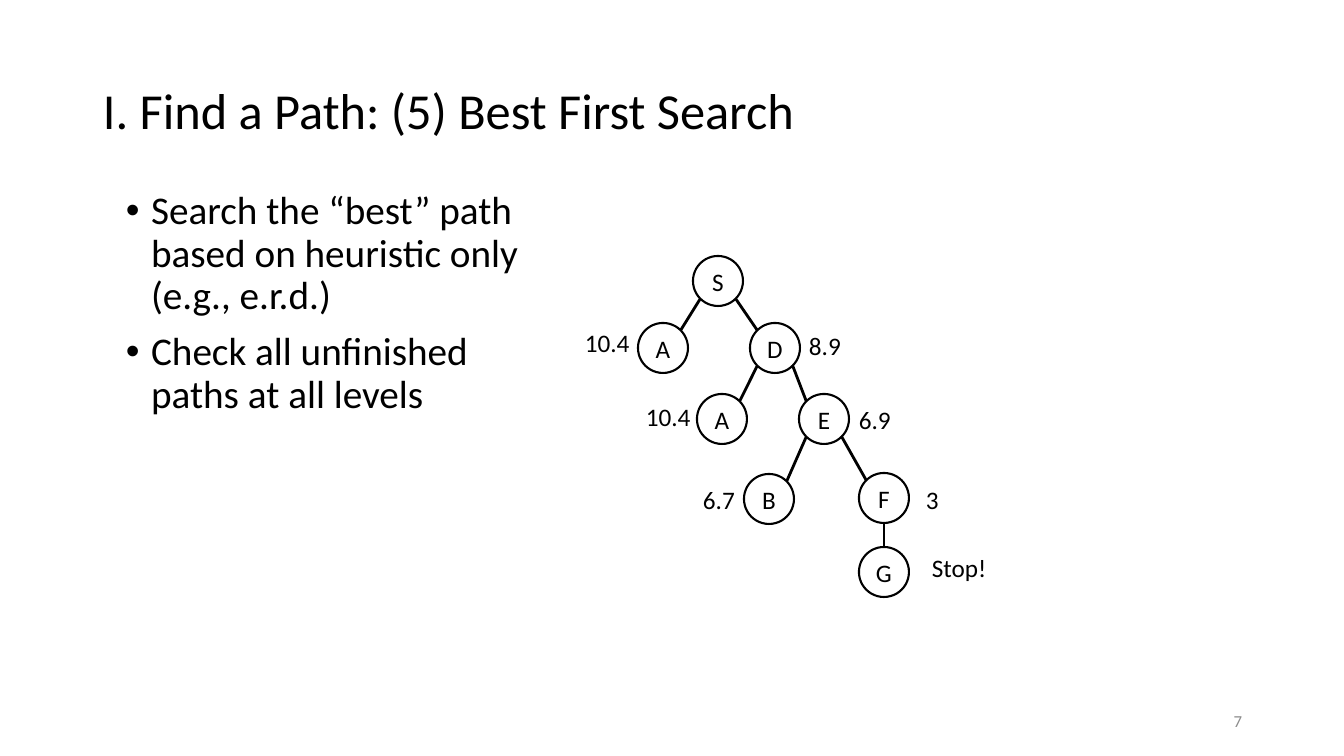
from dataclasses import dataclass
from math import sqrt

from lxml.etree import SubElement
from pptx import Presentation
from pptx.dml.color import RGBColor
from pptx.enum.shapes import MSO_CONNECTOR, MSO_SHAPE
from pptx.enum.text import MSO_ANCHOR, PP_ALIGN
from pptx.oxml.ns import qn
from pptx.slide import Slide
from pptx.text.text import TextFrame
from pptx.util import Emu, Pt

PIXEL = 914400 / 100.8
COLORS = {"ink": "000000", "muted": "8C8C8C"}
FONT = "Calibri"
DIAMETER = 50
LABEL_HEIGHT = 40


@dataclass(frozen=True)
class Node:
    letter: str
    x: int  # centre
    y: int


@dataclass(frozen=True)
class Label:
    text: str
    left: int
    top: int
    width: int


def px(length: float) -> Emu:
    return Emu(round(length * PIXEL))


def color(name: str) -> RGBColor:
    return RGBColor.from_string(COLORS[name])


def write(frame: TextFrame, lines: list[str], size: int, ink: str = "ink",
          anchor: MSO_ANCHOR = MSO_ANCHOR.TOP, wrap: bool = True, **paragraph_format) -> None:
    frame.word_wrap = wrap
    frame.vertical_anchor = anchor
    for index, line in enumerate(lines):
        paragraph = frame.paragraphs[0] if index == 0 else frame.add_paragraph()
        for key, value in paragraph_format.items():
            setattr(paragraph, key, value)
        run = paragraph.add_run()
        run.text = line
        for key, value in {"name": FONT, "size": Pt(size)}.items():
            setattr(run.font, key, value)
        run.font.color.rgb = color(ink)


def add_text(slide: Slide, box: tuple[int, int, int, int], lines: list[str],
             size: int, **text_format) -> TextFrame:
    frame = slide.shapes.add_textbox(*map(px, box)).text_frame
    write(frame, lines, size, **text_format)
    return frame


def add_bullets(frame: TextFrame) -> None:
    indent = px(25.2)
    for paragraph in frame.paragraphs:
        properties = paragraph._p.get_or_add_pPr()
        properties.set("marL", str(indent))
        properties.set("indent", str(-indent))
        SubElement(properties, qn("a:buFont"), typeface="Arial")
        SubElement(properties, qn("a:buChar"), char="•")


def add_node(slide: Slide, node: Node) -> None:
    radius = DIAMETER / 2
    circle = slide.shapes.add_shape(
        MSO_SHAPE.FLOWCHART_CONNECTOR, px(node.x - radius), px(node.y - radius),
        px(DIAMETER), px(DIAMETER))
    circle.shadow.inherit = False
    circle.fill.background()
    circle.line.color.rgb = color("ink")
    circle.line.width = Pt(1.5)
    write(circle.text_frame, [node.letter], 18, anchor=MSO_ANCHOR.MIDDLE,
          wrap=False, alignment=PP_ALIGN.CENTER)


def add_edge(slide: Slide, parent: Node, child: Node) -> None:
    """Join the facing rims: on the diagonals, or straight down."""
    radius = DIAMETER / 2
    side = (child.x > parent.x) - (child.x < parent.x)
    drop = radius / sqrt(2) if side else radius
    shift = side * drop
    edge = slide.shapes.add_connector(
        MSO_CONNECTOR.STRAIGHT, px(child.x - shift), px(child.y - drop),
        px(parent.x + shift), px(parent.y + drop))
    edge.line.color.rgb = color("ink")
    edge.line.width = Pt(2)
    SubElement(edge._element.spPr, qn("a:effectLst"))


presentation = Presentation()
presentation.slide_width = px(1344)
presentation.slide_height = px(756)
slide = presentation.slides.add_slide(presentation.slide_layouts[6])

# Title and explanation
add_text(slide, (93, 40, 1159, 146), ["I. Find a Path: (5) Best First Search"], 36,
         anchor=MSO_ANCHOR.MIDDLE, line_spacing=0.9)
explanation = add_text(
    slide, (116, 186, 440, 480),
    ["Search the “best” path based on heuristic only (e.g., e.r.d.)",
     "Check all unfinished paths at all levels"],
    28, line_spacing=0.9, space_before=Pt(10))
add_bullets(explanation)

# Search tree
start = Node("S", 718, 281)
a_from_s = Node("A", 663, 348)
d = Node("D", 775, 348)
a_from_d = Node("A", 722, 419)
e = Node("E", 824, 419)
b = Node("B", 769, 499)
f = Node("F", 884, 498)
goal = Node("G", 884, 572)
children = {start: (a_from_s, d), d: (a_from_d, e), e: (b, f), f: (goal,)}

add_node(slide, start)
for parent, branches in children.items():
    for child in branches:
        add_node(slide, child)
        add_edge(slide, parent, child)

# Heuristic values
HEURISTICS = [
    Label("10.4", 575, 322, 65),
    Label("8.9", 799, 325, 52),
    Label("10.4", 636, 396, 65),
    Label("6.9", 849, 399, 52),
    Label("6.7", 693, 479, 52),
    Label("3", 916, 479, 33),
    Label("Stop!", 922, 547, 75),
]
for label in HEURISTICS:
    add_text(slide, (label.left, label.top, label.width, LABEL_HEIGHT),
             [label.text], 18, wrap=False)

# Slide number
add_text(slide, (950, 701, 302, 40), ["7"], 12, ink="muted",
         anchor=MSO_ANCHOR.MIDDLE, alignment=PP_ALIGN.RIGHT)

presentation.save("out.pptx")
